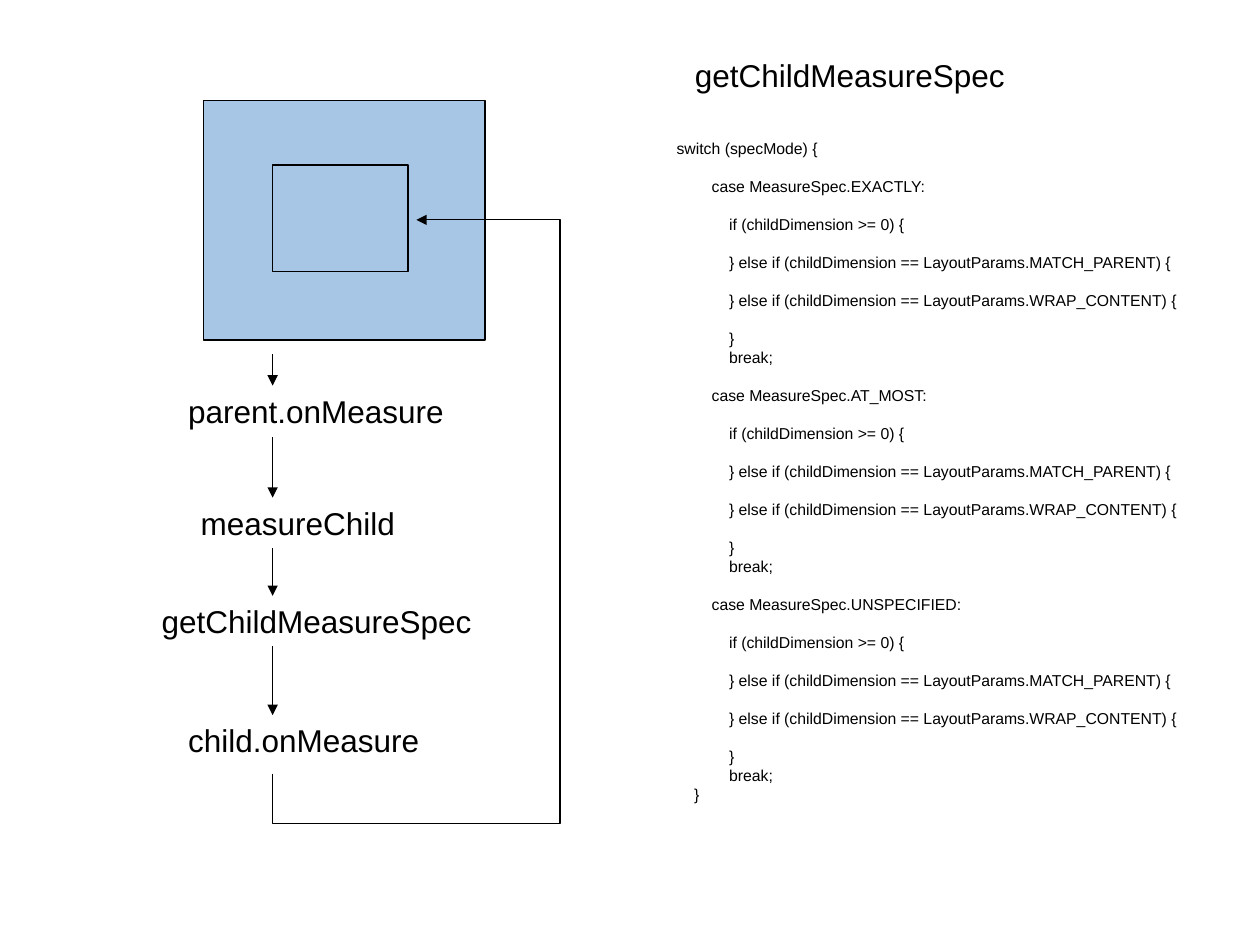
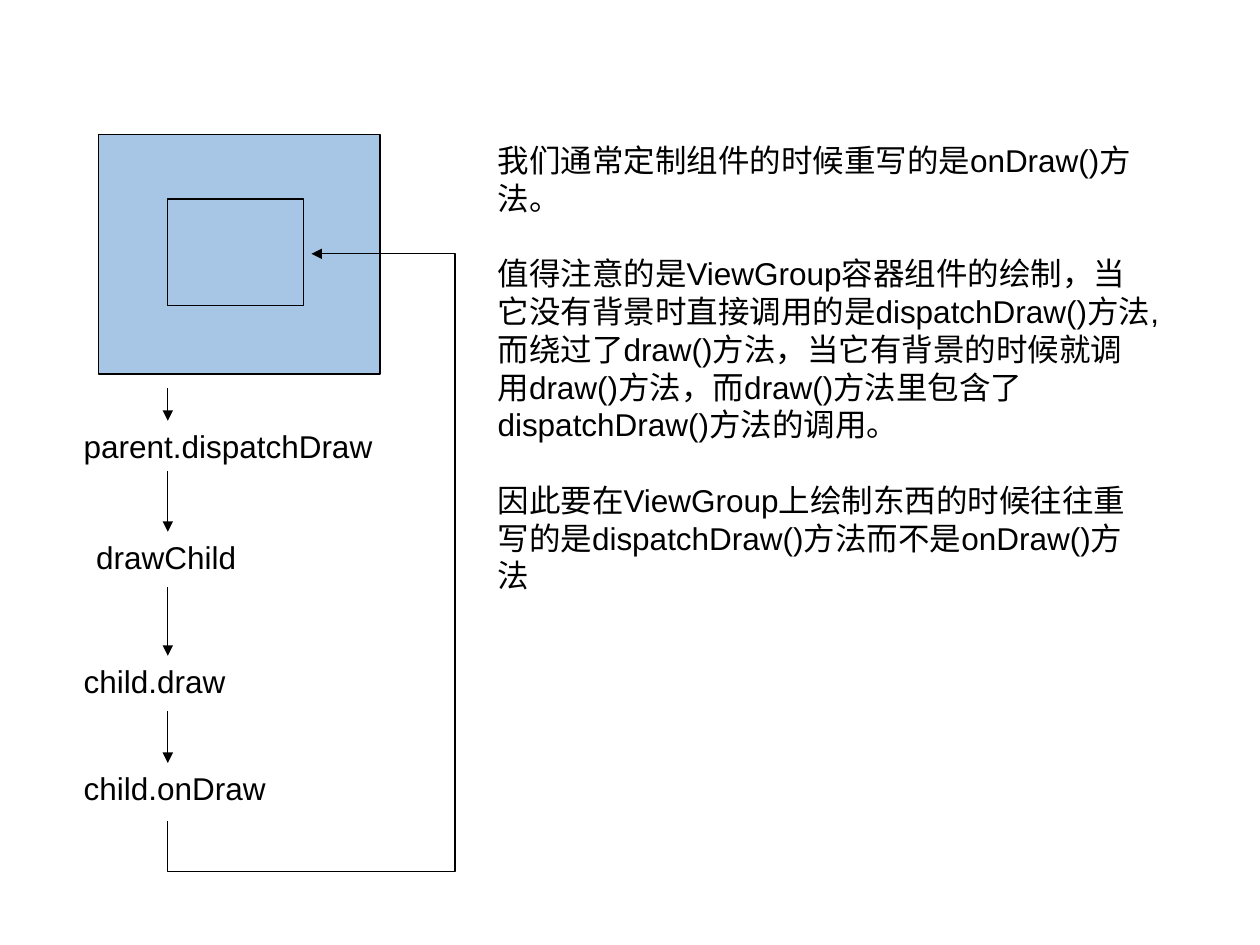
import pptx
import pptx.dml.color
import pptx.enum.shapes
import pptx.enum.text
import pptx.oxml.ns
import pptx.util
import lxml.etree

COLS, ROWS = 100, 75
WIDTH, HEIGHT = pptx.util.Inches(10), pptx.util.Inches(7.5)
INK, PANEL = "000000", "A7C6E5"
FONT = "Arial"
LABEL_HEIGHT = 4
TITLE_ONLY, BLANK = 5, 6

MEASURE_STEPS = [
    ("parent.onMeasure", 13.95, 30.6, 22.6, 4.1),
    ("measureChild", 14.95, 39.5, 17.7, 4),
    ("getChildMeasureSpec", 11.85, 47.3, 26.9, 4),
    ("child.onMeasure", 13.95, 56.75, 20.8, 4),
]
DRAW_STEPS = [
    ("parent.dispatchDraw", 5.65, 33.4, 25.2, 4),
    ("drawChild", 6.65, 42.2, 13.5, 4.4),
    ("child.draw", 5.65, 52.05, 13.7, 4.4),
    ("child.onDraw", 5.65, 60.55, 16.9, 4),
]
CASE_BODY = [
    ("if (childDimension >= 0) {", 3, True),
    ("} else if (childDimension == LayoutParams.MATCH_PARENT) {", 3, True),
    ("} else if (childDimension == LayoutParams.WRAP_CONTENT) {", 3, True),
    ("}", 3, True),
    ("break;", 3, False),
]
DRAW_NOTES = [
    ("我们通常定制组件的时候重写的是onDraw()方法。", 0, False),
    ("值得注意的是ViewGroup容器组件的绘制，当它没有背景时直接调用的是dispatchDraw()方法,", 0, True),
    ("而绕过了draw()方法，当它有背景的时候就调用draw()方法，而draw()方法里包含了dispatchDraw()方法的调用。", 0, False),
    ("因此要在ViewGroup上绘制东西的时候往往重写的是dispatchDraw()方法而不是onDraw()方法", 0, True),
]


def col(n):
    return round(n * WIDTH / COLS)


def row(n):
    return round(n * HEIGHT / ROWS)


def box(left, top, width, height):
    return col(left), row(top), col(width), row(height)


def color(value):
    return pptx.dml.color.RGBColor.from_string(value)


def set_line(sp, arrow=False):
    sp.line.color.rgb = color(INK)
    sp.line.width = pptx.util.Pt(0.75)
    if arrow:
        ln = sp.line._get_or_add_ln()
        lxml.etree.SubElement(ln, pptx.oxml.ns.qn("a:tailEnd"), type="triangle")


def add_panel(s, *place):
    sp = s.shapes.add_shape(pptx.enum.shapes.MSO_SHAPE.RECTANGLE, *box(*place))
    sp.shadow.inherit = False
    sp.fill.solid()
    sp.fill.fore_color.rgb = color(PANEL)
    set_line(sp)


def add_arrow(s, x, top, bottom):
    straight = pptx.enum.shapes.MSO_CONNECTOR.STRAIGHT
    sp = s.shapes.add_connector(straight, col(x), row(top), col(x), row(bottom))
    set_line(sp, arrow=True)
    lxml.etree.SubElement(sp._element.spPr, pptx.oxml.ns.qn("a:effectLst"))


def add_loop(s, points):
    start, *rest = [(col(x), row(y)) for x, y in points]
    builder = s.shapes.build_freeform(*start)
    builder.add_line_segments(rest, close=False)
    sp = builder.convert_to_shape()
    sp.shadow.inherit = False
    sp.fill.background()
    set_line(sp, arrow=True)


def write(sp, place, lines, size=18, gap=0, indent=0, wrap=False):
    sp.left, sp.top, sp.width, sp.height = box(*place)
    tf = sp.text_frame
    tf.word_wrap = wrap
    tf.auto_size = pptx.enum.text.MSO_AUTO_SIZE.SHAPE_TO_FIT_TEXT
    tf.vertical_anchor = pptx.enum.text.MSO_ANCHOR.TOP
    tf.text = "\n".join(text for text, level, spaced in lines)
    for p, (text, level, spaced) in zip(tf.paragraphs, lines):
        p.alignment = pptx.enum.text.PP_ALIGN.LEFT
        p.space_before = pptx.util.Pt(gap if spaced else 0)
        if level:
            p._p.get_or_add_pPr().set("marL", str(pptx.util.Pt(level * indent)))
        for r in p.runs:
            r.font.name = FONT
            r.font.size = pptx.util.Pt(size)
            r.font.color.rgb = color(INK)


def add_text(s, place, lines, **style):
    write(s.shapes.add_textbox(*box(*place)), place, lines, **style)


def add_call_flow(s, axis, top, steps):
    add_panel(s, axis - 5.5, top, 22.35, 19)
    add_panel(s, axis, top + 5.1, 10.75, 8.45)
    arrow_top = top + 20.1
    for text, left, label_top, width, gap in steps:
        add_text(s, (left, label_top, width, LABEL_HEIGHT), [(text, 0, False)])
        add_arrow(s, axis, arrow_top, label_top)
        arrow_top = label_top + gap
    start, entry, right = label_top + 4.65, top + 9.45, axis + 22.8
    add_loop(s, [(axis, start), (axis, start + 3.95), (right, start + 3.95),
                 (right, entry), (axis + 11.4, entry)])


def switch_code():
    lines = [("switch (specMode) {", 0, False)]
    for mode in ("EXACTLY", "AT_MOST", "UNSPECIFIED"):
        lines += [(f"case MeasureSpec.{mode}:", 2, True), *CASE_BODY]
    return lines + [("}", 1, False)]


def main():
    prs = pptx.Presentation()
    prs.slide_width, prs.slide_height = WIDTH, HEIGHT

    s = prs.slides.add_slide(prs.slide_layouts[TITLE_ONLY])
    write(s.shapes.title, (54.15, 3.95, 26.9, LABEL_HEIGHT),
          [("getChildMeasureSpec", 0, False)])
    add_call_flow(s, 21.64, 8, MEASURE_STEPS)
    add_text(s, (52.72, 10.5, 43, 53.7), switch_code(),
             size=9, gap=10.9, indent=10, wrap=True)

    s = prs.slides.add_slide(prs.slide_layouts[BLANK])
    add_call_flow(s, 13.32, 10.7, DRAW_STEPS)
    add_text(s, (38.5, 10.7, 53.9, 40), DRAW_NOTES, gap=21.5, wrap=True)

    prs.save("out.pptx")


if __name__ == "__main__":
    main()
